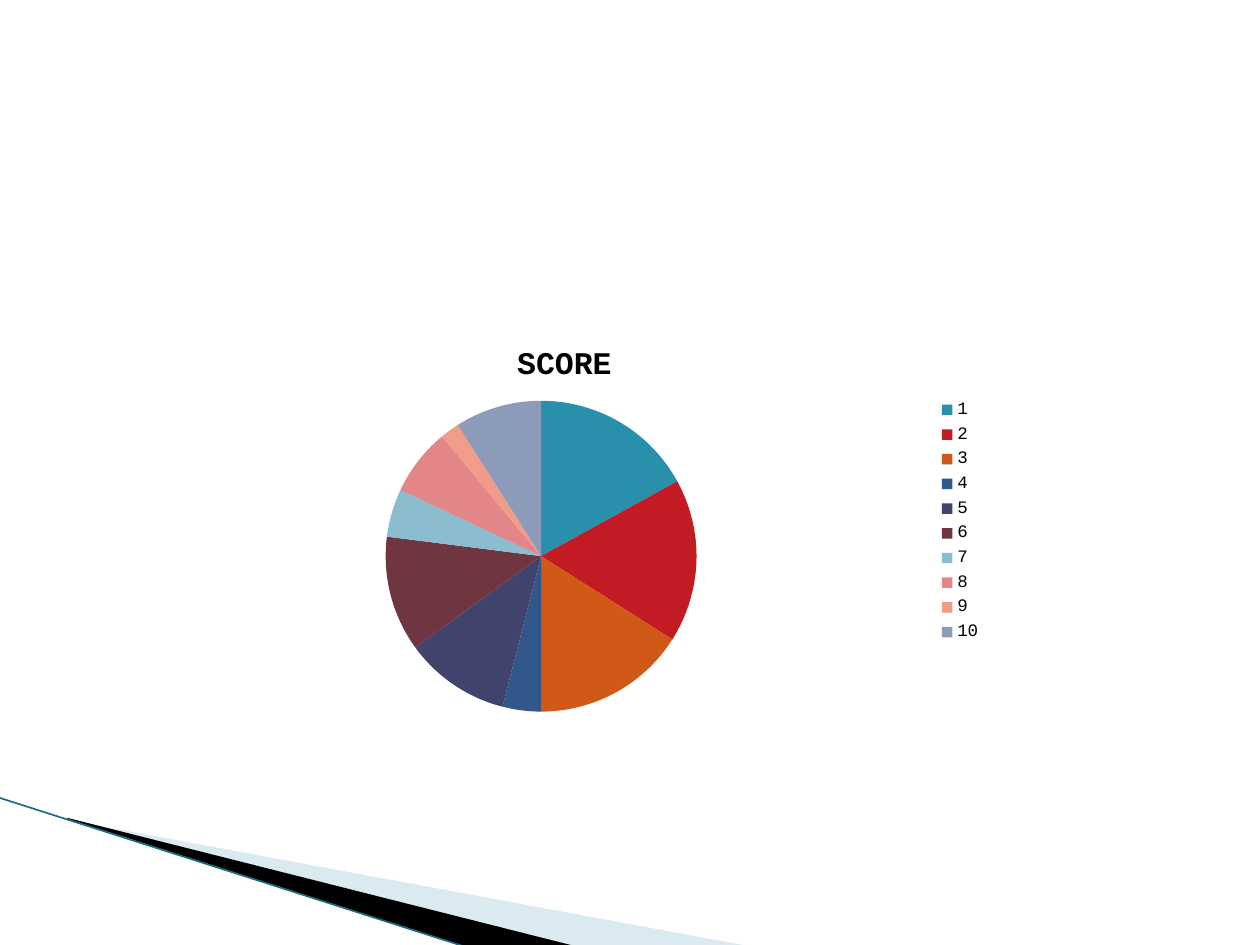
from typing import NamedTuple

from lxml import etree
from pptx import Presentation
from pptx import util as u
from pptx.chart.data import CategoryChartData
from pptx.dml.color import RGBColor
from pptx.enum import chart as charts, shapes
from pptx.oxml import ns

FONT = "Courier New"
INCH = 2.54


class Wedge(NamedTuple):
    frame: tuple[float, float, float, float]
    points: list[tuple[float, float]]
    color: str
    opacity: int = 100


class Slice(NamedTuple):
    score: int
    color: str


WEDGES = [
    Wedge((0.78, 5.47, 4.16, 1.58),
          [(0.55, 6.51), (5.95, 7.51), (4.56, 7.51), (0.55, 6.5)], "A0CBDC", 40),
    Wedge((-0.06, 6.33, 4.16, 0.92),
          [(0.53, 6.49), (4.57, 7.51), (3.72, 7.52), (0.54, 6.5)], "000000"),
]
SLICES = [
    Slice(17, "2890AB"), Slice(17, "C21B23"), Slice(16, "D05917"),
    Slice(4, "32588B"), Slice(11, "40436B"), Slice(12, "6F3541"),
    Slice(5, "8BBCCF"), Slice(7, "E2868A"), Slice(2, "F19C89"),
    Slice(9, "8D9BBA"),
]


def length(inches: float) -> u.Length:
    return u.Cm(inches * INCH)


def paint(target, color: str) -> None:
    """Give a fill a solid colour."""
    target.solid()
    target.fore_color.rgb = RGBColor.from_string(color)


def style_font(font, size: float, bold: bool = False) -> None:
    font.name, font.size, font.bold = FONT, u.Pt(size), bold
    font.color.rgb = RGBColor.from_string("000000")


def reframe(shape, frame: tuple[float, float, float, float]) -> None:
    """Change the frame of a freeform while its outline stays in place."""
    left, top, width, height = (length(n) for n in frame)
    shift_x, shift_y = shape.left - left, shape.top - top
    outline = shape.element.find(".//" + ns.qn("a:path"))
    outline.set("w", str(width))
    outline.set("h", str(height))
    for point in outline.iter(ns.qn("a:pt")):
        point.set("x", str(int(point.get("x")) + shift_x))
        point.set("y", str(int(point.get("y")) + shift_y))
    shape.left, shape.top, shape.width, shape.height = left, top, width, height


def draw_wedge(page, wedge: Wedge) -> None:
    start, *rest = [(length(x), length(y)) for x, y in wedge.points]
    builder = page.shapes.build_freeform(*start)
    builder.add_line_segments(rest, close=True)
    shape = builder.convert_to_shape()
    reframe(shape, wedge.frame)
    shape.shadow.inherit = False
    shape.line.fill.background()
    paint(shape.fill, wedge.color)
    if wedge.opacity < 100:
        color = shape.element.spPr.find(".//" + ns.qn("a:srgbClr"))
        etree.SubElement(color, ns.qn("a:alpha"), val=str(wedge.opacity * 1000))


def draw_edge(page) -> None:
    ends = [length(n) for n in (-0.01, 6.33, 3.71, 7.52)]
    edge = page.shapes.add_connector(shapes.MSO_CONNECTOR.STRAIGHT, *ends)
    edge.line.width = u.Pt(0.95)
    paint(edge.line.fill, "1A6E82")
    etree.SubElement(edge.element.spPr, ns.qn("a:effectLst"))


def place(parent, index: int, **fractions: float) -> None:
    """Set a manual layout, in fractions of the chart, on a chart part."""
    for old in parent.findall(ns.qn("c:layout")):
        parent.remove(old)
    layout = etree.Element(ns.qn("c:layout"))
    manual = etree.SubElement(layout, ns.qn("c:manualLayout"))
    if "w" in fractions:
        etree.SubElement(manual, ns.qn("c:layoutTarget"), val="inner")
    for side in "xy":
        etree.SubElement(manual, ns.qn(f"c:{side}Mode"), val="edge")
    for key, value in fractions.items():
        etree.SubElement(manual, ns.qn(f"c:{key}"), val=str(value))
    parent.insert(index, layout)


def draw_scores(page) -> None:
    data = CategoryChartData()
    data.categories = [str(n) for n in range(1, len(SLICES) + 1)]
    data.add_series("SCORE", [part.score for part in SLICES])
    frame = [length(n) for n in (1.17, 2.49, 6.72, 3.29)]
    chart = page.shapes.add_chart(charts.XL_CHART_TYPE.PIE, *frame, data).chart
    style_font(chart.font, 10)

    chart.has_title = True
    title = chart.chart_title
    title.text_frame.text = "SCORE"
    style_font(title.text_frame.paragraphs[0].runs[0].font, 18, bold=True)
    title.include_in_layout = False
    place(title.element, 1, x=0.43, y=0.06)

    chart.has_legend = True
    chart.legend.position = charts.XL_LEGEND_POSITION.RIGHT
    chart.legend.include_in_layout = False

    plot = chart.plots[0]
    plot.vary_by_categories = True
    for index, part in enumerate(SLICES):
        point = plot.series[0].points[index]
        paint(point.format.fill, part.color)
        point.format.line.fill.background()
    plot_area = chart.element.find(".//" + ns.qn("c:plotArea"))
    place(plot_area, 0, x=0.28, y=0.21, w=0.37, h=0.75)


def main() -> None:
    deck = Presentation()
    deck.slide_width, deck.slide_height = length(10), length(7.5)
    page = deck.slides.add_slide(deck.slide_layouts[6])
    for wedge in WEDGES:
        draw_wedge(page, wedge)
    draw_edge(page)
    draw_scores(page)
    deck.save("out.pptx")


if __name__ == "__main__":
    main()
